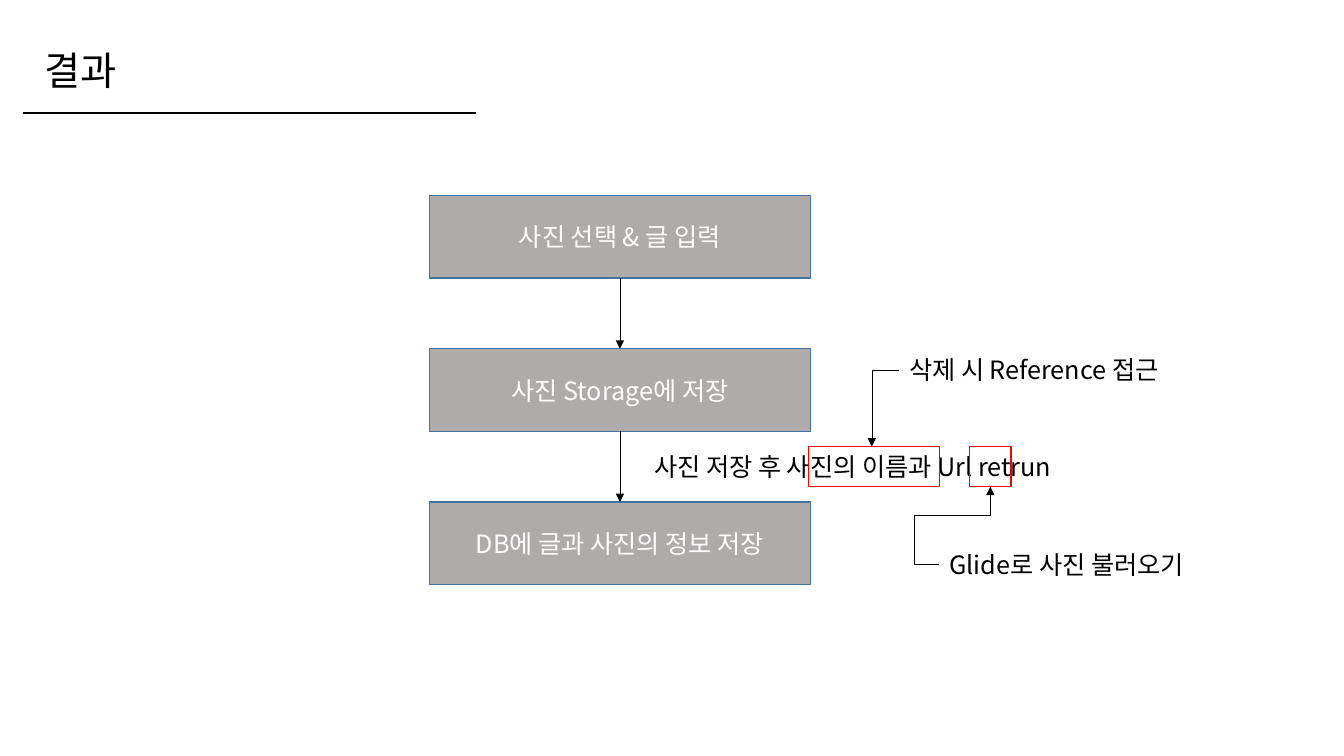
from dataclasses import dataclass

from lxml.etree import SubElement
from pptx import Presentation
from pptx.dml.color import RGBColor
from pptx.enum.shapes import MSO_CONNECTOR, MSO_SHAPE
from pptx.enum.text import MSO_ANCHOR, MSO_AUTO_SIZE, PP_ALIGN
from pptx.oxml.ns import qn
from pptx.util import Inches, Pt


@dataclass(frozen=True)
class Theme:
    font: str = "Noto Sans CJK KR"
    title_size: int = 28
    body_size: int = 18
    ink: str = "000000"
    paper: str = "FFFFFF"
    step_fill: str = "AFABAB"
    step_line: str = "43739E"
    highlight: str = "FF0000"
    rule_width: float = 1.5
    outline_width: float = 1
    arrow_width: float = 0.5


class FlowSlide:
    """Draws on one slide; lengths are cells of a grid of 160 columns by 90 rows."""

    COLUMNS, ROWS = 160, 90

    def __init__(self, presentation, theme):
        self.theme = theme
        self.width, self.height = presentation.slide_width, presentation.slide_height
        self.slide = presentation.slides.add_slide(presentation.slide_layouts[5])
        self.shapes = self.slide.shapes

    def column(self, count):
        return round(self.width * count / self.COLUMNS)

    def row(self, count):
        return round(self.height * count / self.ROWS)

    def area(self, left, top, width, height):
        return self.column(left), self.row(top), self.column(width), self.row(height)

    def add_text(self, frame, text, size, color, align=PP_ALIGN.LEFT):
        paragraph = frame.paragraphs[0]
        paragraph.alignment = align
        run = paragraph.add_run()
        run.text = text
        run.font.name = self.theme.font
        run.font.size = Pt(size)
        run.font.color.rgb = RGBColor.from_string(color)
        SubElement(run.font._element, qn("a:ea"), typeface=self.theme.font)

    def add_unwrapped_text(self, frame, text, size):
        frame.word_wrap = False
        frame.auto_size = MSO_AUTO_SIZE.SHAPE_TO_FIT_TEXT
        frame.vertical_anchor = MSO_ANCHOR.TOP
        self.add_text(frame, text, size, self.theme.ink)

    def title(self, text, *cells):
        title = self.shapes.title
        title.left, title.top, title.width, title.height = self.area(*cells)
        self.add_unwrapped_text(title.text_frame, text, self.theme.title_size)

    def label(self, text, *cells):
        box = self.shapes.add_textbox(*self.area(*cells))
        self.add_unwrapped_text(box.text_frame, text, self.theme.body_size)

    def rectangle(self, line, *cells):
        shape = self.shapes.add_shape(MSO_SHAPE.RECTANGLE, *self.area(*cells))
        shape.shadow.inherit = False
        shape.fill.background()
        shape.line.color.rgb = RGBColor.from_string(line)
        shape.line.width = Pt(self.theme.outline_width)
        return shape

    def highlight(self, *cells):
        self.rectangle(self.theme.highlight, *cells)

    def step(self, text, *cells):
        shape = self.rectangle(self.theme.step_line, *cells)
        shape.fill.solid()
        shape.fill.fore_color.rgb = RGBColor.from_string(self.theme.step_fill)
        shape.text_frame.vertical_anchor = MSO_ANCHOR.MIDDLE
        self.add_text(shape.text_frame, text, self.theme.body_size,
                      self.theme.paper, PP_ALIGN.CENTER)
        return shape

    def line(self, start, end, width, kind=MSO_CONNECTOR.STRAIGHT):
        connector = self.shapes.add_connector(
            kind, self.column(start[0]), self.row(start[1]),
            self.column(end[0]), self.row(end[1]))
        connector.line.color.rgb = RGBColor.from_string(self.theme.ink)
        connector.line.width = Pt(width)
        SubElement(connector._element.spPr, qn("a:effectLst"))
        return connector

    def arrow(self, start, end, kind=MSO_CONNECTOR.STRAIGHT):
        connector = self.line(start, end, self.theme.arrow_width, kind)
        outline = connector._element.spPr.find(qn("a:ln"))
        SubElement(outline, qn("a:tailEnd"), type="triangle")
        return connector

    def join_steps(self, upper, lower):
        connector = self.arrow((0, 0), (1, 1))
        connector.begin_connect(upper, 2)
        connector.end_connect(lower, 0)

    def bent_arrow(self, start, end, preset, adjustments=()):
        """Adjustments place the bends, in 1/100000 of the arrow's width and height."""
        connector = self.arrow(start, end, MSO_CONNECTOR.ELBOW)
        geometry = connector._element.spPr.find(qn("a:prstGeom"))
        geometry.set("prst", preset)
        guides = geometry.find(qn("a:avLst"))
        for number, value in enumerate(adjustments, 1):
            SubElement(guides, qn("a:gd"), name=f"adj{number}", fmla=f"val {value}")


def main():
    presentation = Presentation()
    presentation.slide_width, presentation.slide_height = Inches(13.33), Inches(7.5)
    theme = Theme()
    flow = FlowSlide(presentation, theme)

    flow.line((2.76, 13.44), (56.64, 13.44), theme.rule_width)
    flow.title("결과", 4.08, 4.92, 11.52, 6.84)

    step_texts = ("사진 선택 & 글 입력", "사진 Storage에 저장", "DB에 글과 사진의 정보 저장")
    first_top, pitch = 23.28, 18.24
    steps = [flow.step(text, 51.12, first_top + index * pitch, 45.36, 9.84)
             for index, text in enumerate(step_texts)]
    for upper, lower in zip(steps, steps[1:]):
        flow.join_steps(upper, lower)

    note_top, label_height = 53.16, 4.8
    note_bottom = note_top + label_height
    flow.label("사진 저장 후 사진의 이름과 Url retrun", 76.68, note_top, 54.36, label_height)
    for left, width in ((96.24, 15.6), (115.44, 4.92)):
        flow.highlight(left, note_top, width, label_height)

    delete_left, delete_top = 107.04, 41.64
    flow.label("삭제 시 Reference 접근", delete_left, delete_top, 34.2, label_height)
    flow.bent_arrow((delete_left, delete_top + label_height / 2), (103.8, note_top),
                    "bentConnector2")

    load_left, load_top = 111.84, 64.8
    flow.label("Glide로 사진 불러오기", load_left, load_top, 32.88, label_height)
    flow.bent_arrow((load_left, load_top + label_height / 2), (117.9, note_bottom),
                    "bentConnector4", (-49800, 63100))

    presentation.save("out.pptx")


if __name__ == "__main__":
    main()
